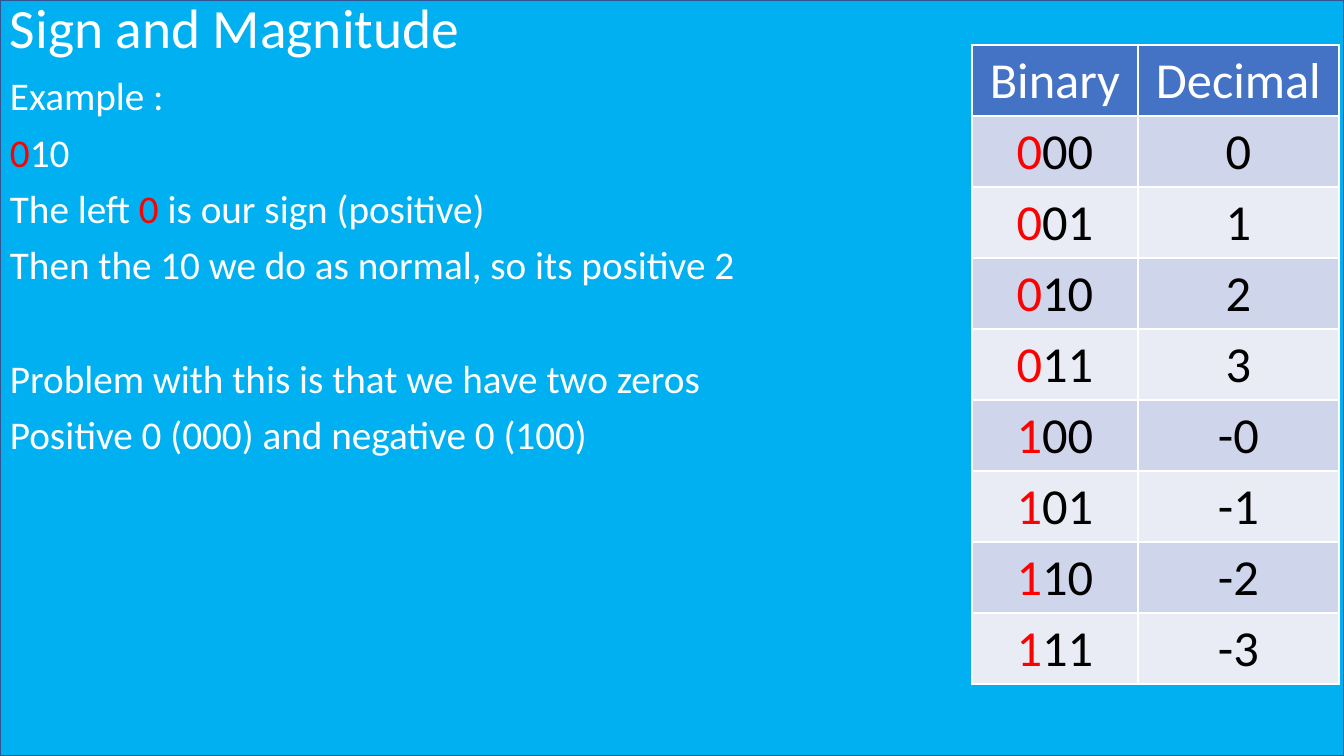
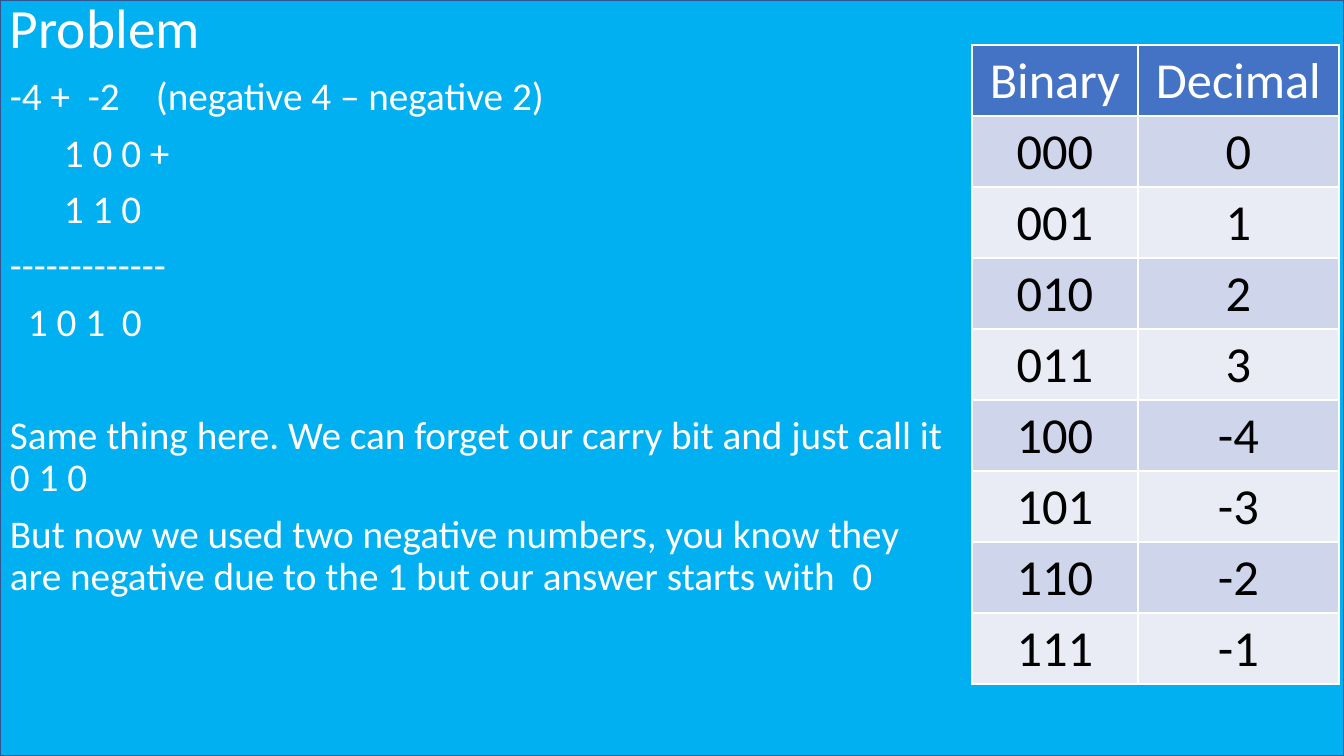
from lxml import etree
from pptx import Presentation, util as u
from pptx.dml.color import RGBColor
from pptx.enum import shapes, text
from pptx.oxml.ns import qn

PX = 914400 / 100.8
PAGE_W, PAGE_H = 1344, 756
FONT = "Calibri"
WHITE, BLACK, RED = "FFFFFF", "000000", "FF0000"
SKY, NAVY, HEADER = "00B0F0", "325491", "4472C4"
STRIPES = ("CFD5EA", "E9EBF5")
TITLE_SIZE, BODY_SIZE, CELL_SIZE = 39.6, 28, 36
LINE_SPACING, GAP, SECTION_GAP = 0.9, 10, 50.7

TITLE_BOX = (0, 0, PAGE_W, 61)
BODY_BOX = (0, 72, PAGE_W, 684)
TABLE_LEFT, TABLE_TOP, ROW_H = 972, 45, 71
COLUMN_WIDTHS = (166, 201)
HEADINGS = ("Binary", "Decimal")
BITS = [f"{number:03b}" for number in range(8)]

# Text between bars is red. A paragraph is (text, space before, tab stops in px).
SLIDES = [
    {
        "title": "Sign and Magnitude",
        "body": [
            ("Example :", 0, ()),
            ("|0|10", GAP, ()),
            ("The left |0| is our sign (positive)", GAP, ()),
            ("Then the 10 we do as normal, so its positive 2", GAP, ()),
            ("Problem with this is that we have two zeros", SECTION_GAP, ()),
            ("Positive 0 (000) and negative 0 (100)", GAP, ()),
        ],
        "rows": list(zip([f"|{bits[0]}|{bits[1:]}" for bits in BITS],
                         ("0", "1", "2", "3", "-0", "-1", "-2", "-3"))),
    },
    {
        "title": "Problem",
        "body": [
            ("-4 +\t-2\t(negative 4 – negative 2)", 0, (78, 146)),
            ("\t1 0 0 +", GAP, (54,)),
            ("\t1 1 0", GAP, (54,)),
            ("-------------", GAP, ()),
            ("\t1 0 1\t0", GAP, (18, 112)),
            ("Same thing here. We can forget our carry bit and just call it\n0 1 0",
             SECTION_GAP, ()),
            ("But now we used two negative numbers, you know they\n"
             "are negative due to the 1 but our answer starts with  0", GAP, ()),
        ],
        "rows": list(zip(BITS, ("0", "1", "2", "3", "-4", "-3", "-2", "-1"))),
    },
]


def px(length):
    return u.Emu(round(length * PX))


def rgb(value):
    return RGBColor.from_string(value)


def write(para, content, size, color):
    """Fill a paragraph, with the pieces between bars in red."""
    for index, piece in enumerate(content.split("|")):
        for line_number, line in enumerate(piece.split("\n")):
            if line_number:
                para.add_line_break()
            if not line:
                continue
            span = para.add_run()
            span.text = line
            for name, value in {"name": FONT, "size": u.Pt(size), "bold": False}.items():
                setattr(span.font, name, value)
            span.font.color.rgb = rgb(RED if index % 2 else color)


def add_text(page, place, paragraphs, size, anchor):
    box = page.shapes.add_textbox(*map(px, place))
    frame = box.text_frame
    frame.word_wrap = True
    frame.vertical_anchor = anchor
    for index, (content, before, stops) in enumerate(paragraphs):
        para = frame.add_paragraph() if index else frame.paragraphs[0]
        para.line_spacing = LINE_SPACING
        para.space_before = u.Pt(before)
        if stops:
            tabs = etree.SubElement(para._p.get_or_add_pPr(), qn("a:tabLst"))
            for stop in stops:
                etree.SubElement(tabs, qn("a:tab"), pos=str(px(stop)), algn="l")
        write(para, content, size, WHITE)


def add_borders(cell):
    properties = cell._tc.get_or_add_tcPr()
    for side in ("lnL", "lnR", "lnT", "lnB"):
        line = etree.SubElement(properties, qn(f"a:{side}"), w=str(u.Pt(1)))
        fill = etree.SubElement(line, qn("a:solidFill"))
        etree.SubElement(fill, qn("a:srgbClr"), val=WHITE)


def add_number_table(page, rows):
    rows = [HEADINGS, *rows]
    place = (TABLE_LEFT, TABLE_TOP, sum(COLUMN_WIDTHS), ROW_H * len(rows))
    table = page.shapes.add_table(len(rows), len(HEADINGS), *map(px, place)).table
    for column, width in zip(table.columns, COLUMN_WIDTHS):
        column.width = px(width)
    for row_number, row in enumerate(rows):
        fill = STRIPES[(row_number - 1) % 2] if row_number else HEADER
        for column_number, content in enumerate(row):
            cell = table.cell(row_number, column_number)
            add_borders(cell)
            cell.fill.solid()
            cell.fill.fore_color.rgb = rgb(fill)
            para = cell.text_frame.paragraphs[0]
            para.alignment = text.PP_ALIGN.CENTER
            write(para, content, CELL_SIZE, BLACK if row_number else WHITE)


def add_backdrop(page):
    """Draw the framed backdrop and hand it to the layout that all pages share."""
    backdrop = page.shapes.add_shape(shapes.MSO_SHAPE.RECTANGLE, 0, 0, px(PAGE_W), px(PAGE_H))
    backdrop.shadow.inherit = False
    backdrop.fill.solid()
    backdrop.fill.fore_color.rgb = rgb(SKY)
    backdrop.line.color.rgb = rgb(NAVY)
    backdrop.line.width = u.Pt(1)
    page.slide_layout.shapes.element.append(backdrop.element)


def main():
    deck = Presentation()
    deck.slide_width, deck.slide_height = px(PAGE_W), px(PAGE_H)
    blank = deck.slide_layouts[6]
    for number, content in enumerate(SLIDES):
        page = deck.slides.add_slide(blank)
        if number == 0:
            add_backdrop(page)
        add_text(page, TITLE_BOX, [(content["title"], 0, ())], TITLE_SIZE,
                 text.MSO_ANCHOR.MIDDLE)
        add_text(page, BODY_BOX, content["body"], BODY_SIZE, text.MSO_ANCHOR.TOP)
        add_number_table(page, content["rows"])
    deck.save("out.pptx")


if __name__ == "__main__":
    main()
